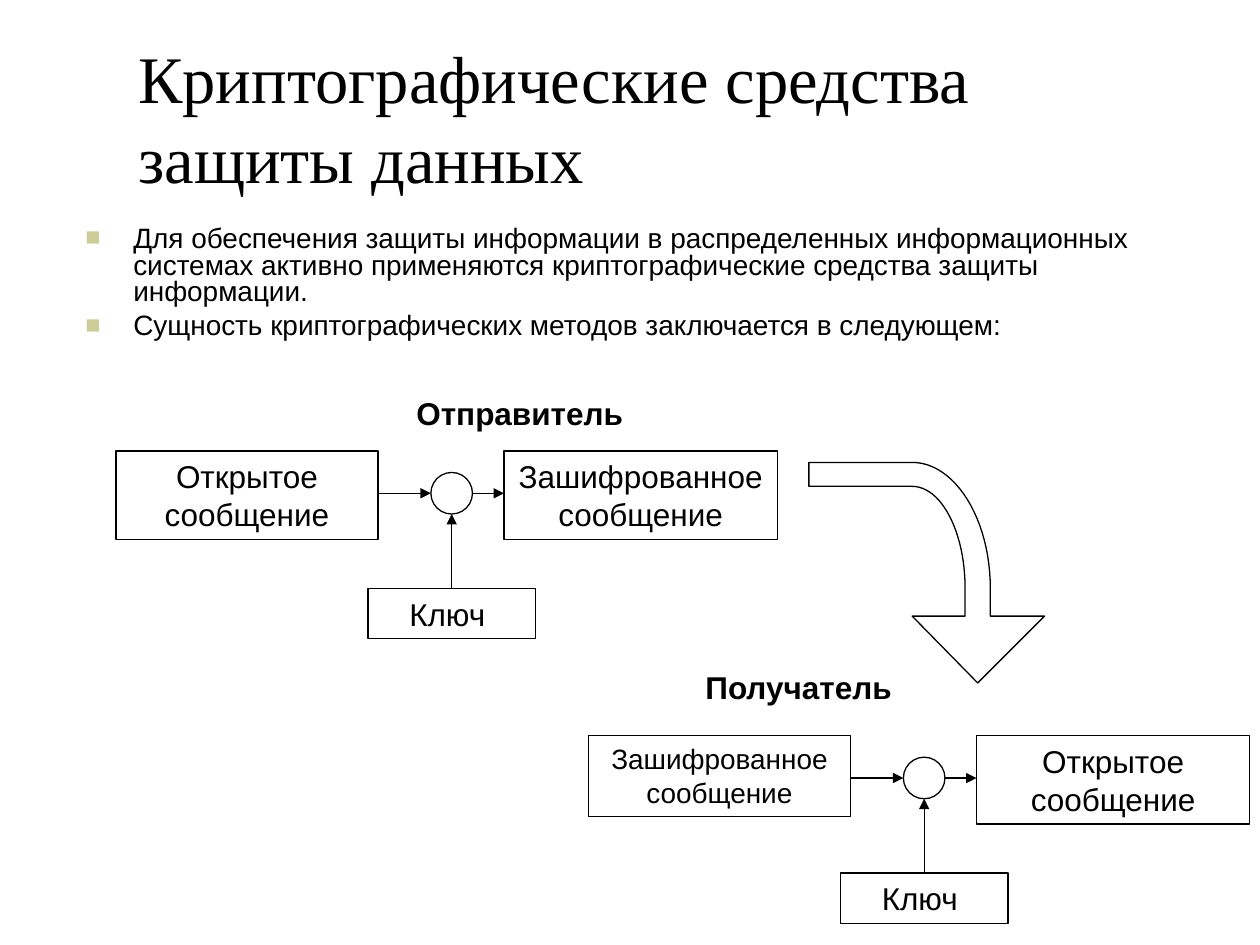
from lxml import etree
from pptx import Presentation
from pptx.dml.color import RGBColor
from pptx.enum import shapes, text
from pptx.oxml import ns
from pptx.util import Inches, Pt

BLACK = "000000"


def color(value):
    """Turn a hex string into a colour."""
    return RGBColor.from_string(value)


def add_xml(parent, tag, **attributes):
    """Append a DrawingML element to a parent."""
    return etree.SubElement(parent, ns.qn(tag), attributes)


def format_text(shape, size, font="Arial", bold=False, align=text.PP_ALIGN.LEFT,
                anchor=text.MSO_ANCHOR.TOP):
    """Wrap and style all the text of a shape."""
    frame = shape.text_frame
    frame.word_wrap = True
    frame.vertical_anchor = anchor
    for para in frame.paragraphs:
        para.alignment = align
        for span in para.runs:
            span.font.size = Pt(size)
            span.font.name = font
            span.font.bold = bold
            span.font.color.rgb = color(BLACK)


def add_label(page, words, left, top, width, height, size, **style):
    """Add a text box in one style."""
    box = page.shapes.add_textbox(Inches(left), Inches(top), Inches(width), Inches(height))
    box.text_frame.text = words
    format_text(box, size, **style)
    return box


def add_bullets(page, items):
    """Add the square-bulleted list."""
    box = add_label(page, "\n".join(items), 0.58, 1.75, 9, 1.08, 16)
    for para in box.text_frame.paragraphs:
        para.line_spacing = 0.8
        para.space_before = Pt(4)
        properties = para._p.get_or_add_pPr()
        properties.set("marL", str(Inches(0.38)))
        properties.set("indent", str(-Inches(0.38)))
        add_xml(add_xml(properties, "a:buClr"), "a:srgbClr", val="CCCC99")
        add_xml(properties, "a:buSzPct", val="90000")
        add_xml(properties, "a:buFont", typeface="Arial")
        add_xml(properties, "a:buChar", char="■")


def outline(shape):
    """Leave a shape unfilled with a thin black line."""
    shape.shadow.inherit = False
    shape.fill.background()
    shape.line.color.rgb = color(BLACK)
    shape.line.width = Pt(0.75)


def add_node(group, kind, left, top, width, height, words="", size=18):
    """Add an outlined block of the scheme."""
    node = group.shapes.add_shape(kind, Inches(left), Inches(top), Inches(width), Inches(height))
    outline(node)
    node.text_frame.text = words
    format_text(node, size, align=text.PP_ALIGN.CENTER)
    return node


def add_arrow(group, start, end):
    """Add a thin arrow between two points."""
    arrow = group.shapes.add_connector(
        shapes.MSO_CONNECTOR.STRAIGHT, *(Inches(value) for value in start + end))
    arrow.line.color.rgb = color(BLACK)
    arrow.line.width = Pt(0.75)
    add_xml(arrow.line._get_or_add_ln(), "a:tailEnd", type="triangle")
    add_xml(arrow._element.spPr, "a:effectLst")
    return arrow


def add_scheme(page, left, top, source, result, source_size=18, source_height=0.7):
    """Add a source, a keyed operation and a result joined by arrows."""
    group = page.shapes.add_group_shape()
    rectangle = shapes.MSO_SHAPE.RECTANGLE
    diameter = 0.33
    circle_left, circle_top = left + 2.5, top + 0.17
    center, middle = circle_left + diameter / 2, circle_top + diameter / 2
    add_node(group, rectangle, left, top, 2.08, source_height, source, source_size)
    add_node(group, shapes.MSO_SHAPE.OVAL, circle_left, circle_top, diameter, diameter)
    key = add_node(group, rectangle, center - 1.33 / 2, top + 1.09, 1.33, 0.4, "Ключ ")
    add_node(group, rectangle, left + 3.08, top, 2.17, 0.7, result)
    add_arrow(group, (left + 2.08, middle), (circle_left, middle))
    add_arrow(group, (circle_left + diameter, middle), (left + 3.08, middle))
    key_arrow = add_arrow(group, (center, top + 1.09), (center, circle_top + diameter))
    key_arrow.begin_connect(key, 0)


def curve(start, first, second, end, steps=24):
    """Return points along a cubic curve, without its start."""
    points = []
    for step in range(1, steps + 1):
        t = step / steps
        weights = ((1 - t) ** 3, 3 * t * (1 - t) ** 2, 3 * t * t * (1 - t), t ** 3)
        points.append(tuple(sum(w * p[axis] for w, p in zip(weights, (start, first, second, end)))
                            for axis in (0, 1)))
    return points


def add_bent_arrow(page):
    """Add the curved block arrow from sender to receiver."""
    points = [(7.76, 5.42), (8.29, 4.89), (7.86, 4.89), (7.86, 4.67)]
    points += curve((7.86, 4.67), (7.86, 4.12), (7.58, 3.67), (7.24, 3.67))
    points += [(6.42, 3.67), (6.42, 3.86), (7.24, 3.86)]
    points += curve((7.24, 3.86), (7.47, 3.86), (7.66, 4.22), (7.66, 4.67))
    points += [(7.66, 4.89), (7.24, 4.89)]
    path = [(Inches(x), Inches(y)) for x, y in points]
    builder = page.shapes.build_freeform(*path[0])
    builder.add_line_segments(path[1:], close=True)
    outline(builder.convert_to_shape())


def main():
    """Build the slide and save it."""
    deck = Presentation()
    deck.slide_width, deck.slide_height = Inches(10), Inches(7.5)
    page = deck.slides.add_slide(deck.slide_layouts[6])
    add_label(page, "Криптографические средства защиты данных", 1, 0.3, 8.5, 1.25, 38,
              font="Times New Roman", anchor=text.MSO_ANCHOR.MIDDLE)
    add_bullets(page, [
        "Для обеспечения защиты информации в распределенных информационных системах "
        "активно применяются криптографические средства защиты информации.",
        "Сущность криптографических методов заключается в следующем:",
    ])
    opened, encrypted = "Открытое сообщение", "Зашифрованное сообщение"
    add_scheme(page, 0.92, 3.58, opened, encrypted)
    add_scheme(page, 4.67, 5.84, encrypted, opened, source_size=16, source_height=0.64)
    add_label(page, "Отправитель", 3, 3.08, 2.25, 0.4, 18, bold=True, align=text.PP_ALIGN.CENTER)
    add_label(page, "Получатель", 5.5, 5.25, 1.92, 0.4, 18, bold=True)
    add_bent_arrow(page)
    deck.save("out.pptx")


if __name__ == "__main__":
    main()
